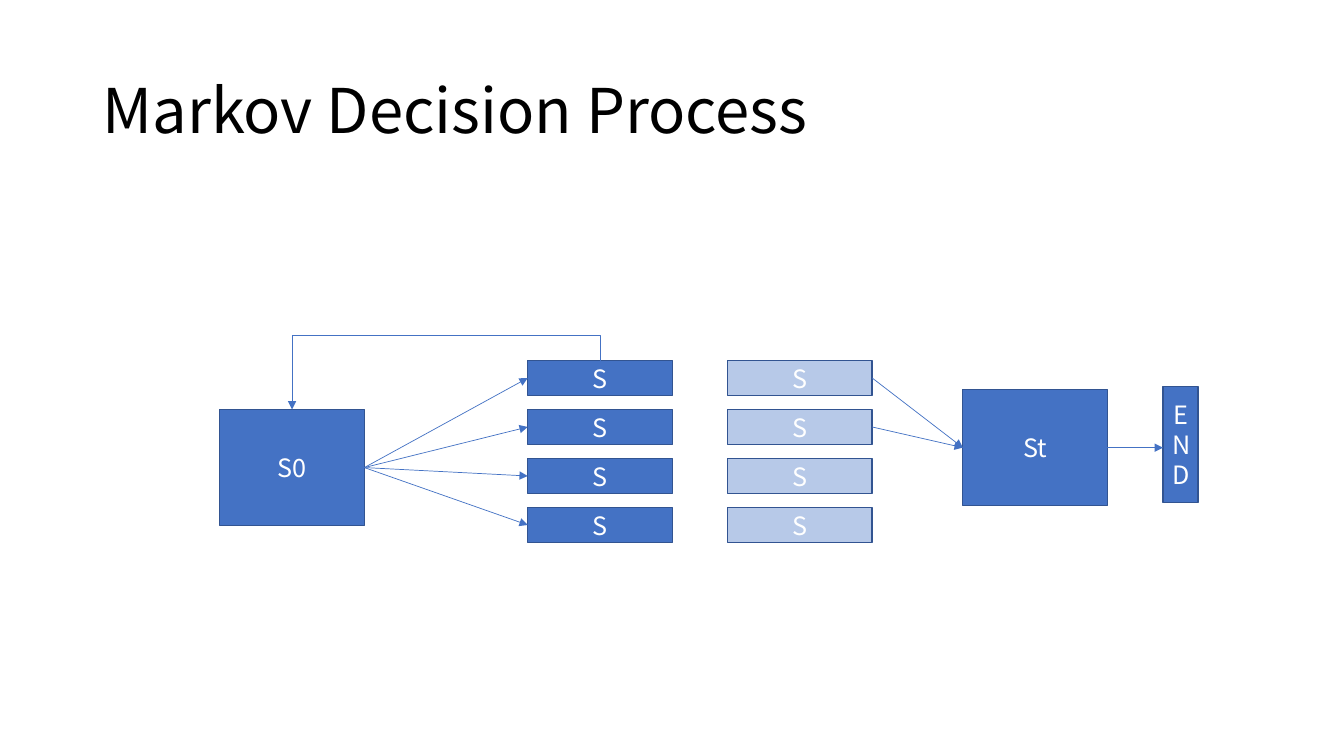
from lxml.etree import SubElement
from pptx import Presentation
from pptx.dml.color import RGBColor
from pptx.enum.shapes import MSO_CONNECTOR, MSO_SHAPE
from pptx.enum.text import MSO_ANCHOR, PP_ALIGN
from pptx.oxml.ns import qn
from pptx.util import Pt

BLUE = RGBColor(0x44, 0x72, 0xC4)
DARK_BLUE = RGBColor(0x32, 0x54, 0x91)
WHITE = RGBColor(0xFF, 0xFF, 0xFF)
BLACK = RGBColor(0x00, 0x00, 0x00)
FONT = "Noto Sans CJK KR"

TOP, LEFT, RIGHT = 0, 1, 3  # connection sites of a rectangle
STATE_W, STATE_H, ROW_H = 103.25, 83, 25
ROW_TOP, ROW_STEP, ROWS = 257.5, 35, 4


def set_text(tf, text, size=18, color=WHITE, align=PP_ALIGN.CENTER, spacing=1.0):
    tf.word_wrap = True
    tf.vertical_anchor = MSO_ANCHOR.MIDDLE
    p = tf.paragraphs[0]
    p.alignment = align
    p.line_spacing = spacing
    r = p.add_run()
    r.text = text
    r.font.size = Pt(size)
    r.font.name = FONT
    r.font.color.rgb = color
    SubElement(r.font._element, qn("a:ea"), typeface=FONT)


class Diagram:
    def __init__(self, slide):
        self.slide = slide

    def title(self, text, x, y, w, h):
        sp = self.slide.shapes.title
        sp.left, sp.top, sp.width, sp.height = Pt(x), Pt(y), Pt(w), Pt(h)
        set_text(sp.text_frame, text, size=44, color=BLACK,
                 align=PP_ALIGN.LEFT, spacing=0.9)

    def box(self, text, x, y, w=STATE_W, h=STATE_H, opacity=100):
        sp = self.slide.shapes.add_shape(
            MSO_SHAPE.RECTANGLE, Pt(x), Pt(y), Pt(w), Pt(h))
        sp.shadow.inherit = False
        sp.fill.solid()
        sp.fill.fore_color.rgb = BLUE
        if opacity < 100:
            rgb = sp._element.spPr.find(qn("a:solidFill"))[0]
            SubElement(rgb, qn("a:alpha"), val=str(opacity * 1000))
        sp.line.color.rgb = DARK_BLUE
        sp.line.width = Pt(1)
        set_text(sp.text_frame, text)
        return sp

    def column(self, x, opacity=100):
        return [self.box("S", x, ROW_TOP + i * ROW_STEP, h=ROW_H, opacity=opacity)
                for i in range(ROWS)]

    def arrow(self, start, end, begin_site=RIGHT, end_site=LEFT,
              kind=MSO_CONNECTOR.STRAIGHT):
        c = self.slide.shapes.add_connector(kind, 0, 0, 0, 0)
        c.begin_connect(start, begin_site)
        c.end_connect(end, end_site)
        c.line.color.rgb = BLUE
        c.line.width = Pt(0.5)
        SubElement(c.line._get_or_add_ln(), qn("a:tailEnd"), type="triangle")
        SubElement(c._element.spPr, qn("a:effectLst"))
        return c

    def level_arrow(self, start, end):
        """Arrow that stays at the middle height of its start."""
        c = self.arrow(start, end)
        c.end_y = c.begin_y

    def loop_arrow(self, start, end, rise):
        """Arrow from top to top, bending at rise above its start."""
        c = self.arrow(start, end, TOP, TOP, MSO_CONNECTOR.ELBOW)
        across, down = c.begin_x - c.end_x, c.end_y - c.begin_y
        mid_x, mid_y = (c.begin_x + c.end_x) // 2, (c.begin_y + c.end_y) // 2
        c.left, c.top = mid_x - down // 2, mid_y - across // 2
        c.width, c.height = down, across
        xfrm = c._element.spPr.xfrm
        for name, value in (("rot", "16200000"), ("flipH", "1"), ("flipV", "1")):
            xfrm.set(name, value)
        guides = c._element.spPr.find(qn("a:prstGeom")).get_or_add_avLst()
        bend = round(-100000 * Pt(rise) / down)
        SubElement(guides, qn("a:gd"), name="adj1", fmla=f"val {bend}")


def main():
    prs = Presentation()
    prs.slide_width, prs.slide_height = Pt(960), Pt(540)
    d = Diagram(prs.slides.add_slide(prs.slide_layouts[5]))
    d.title("Markov Decision Process", 66, 28.75, 828, 104.4)

    first = d.box("S0", 157, ROW_TOP + ROW_STEP)
    next_states = d.column(377)
    later_states = d.column(519.75, opacity=38)
    last = d.box("St", 687.75, 278.25)
    end = d.box("END", 830.75, 276, w=25)

    for state in next_states:
        d.arrow(first, state)
    d.loop_arrow(next_states[0], first, rise=18)
    for state in later_states[:2]:
        d.arrow(state, last)
    d.level_arrow(last, end)

    prs.save("out.pptx")


if __name__ == "__main__":
    main()
